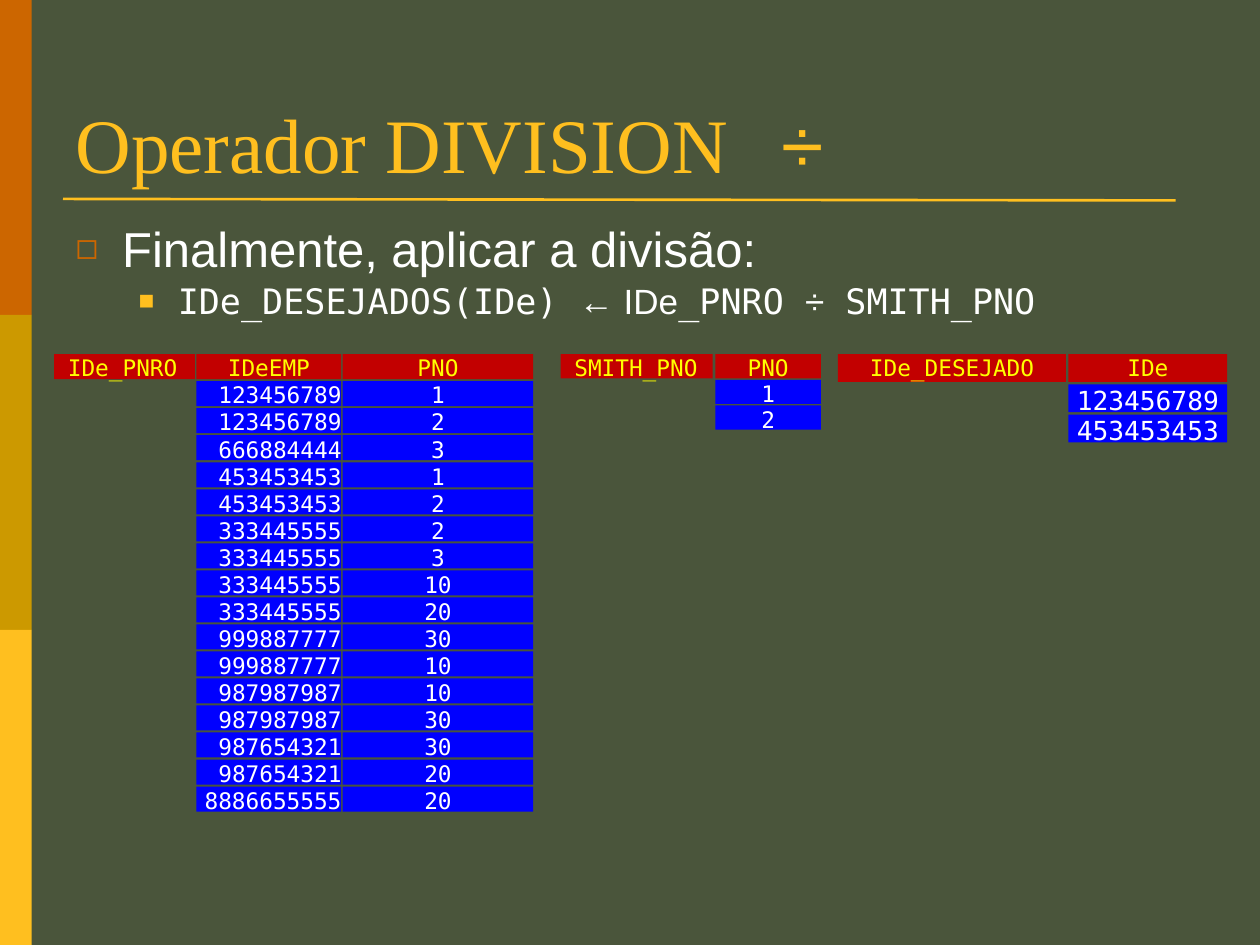
from lxml.etree import SubElement
from pptx import Presentation
from pptx.dml.color import RGBColor
from pptx.enum.shapes import MSO_CONNECTOR as Connector, MSO_SHAPE as Shape
from pptx.enum.text import MSO_ANCHOR as Anchor, MSO_AUTO_SIZE as AutoSize, PP_ALIGN as Align
from pptx.oxml.ns import qn
from pptx.util import Cm, Pt

SERIF, SANS, MONO = "Times New Roman", "Arial", "DejaVu Sans Mono"
OLIVE, ORANGE, MUSTARD, GOLD = "4A553B", "CC6600", "CC9900", "FFBF1F"
RED, BLUE, YELLOW, WHITE = "C20000", "0000FF", "FFFF00", "FFFFFF"
LABEL_INSET = 0.28

EMPLOYEE_PROJECTS = [
    ("123456789", "1"), ("123456789", "2"), ("666884444", "3"), ("453453453", "1"),
    ("453453453", "2"), ("333445555", "2"), ("333445555", "3"), ("333445555", "10"),
    ("333445555", "20"), ("999887777", "30"), ("999887777", "10"), ("987987987", "10"),
    ("987987987", "30"), ("987654321", "30"), ("987654321", "20"), ("8886655555", "20"),
]


def paint(target, color):
    """Give a fill or a line format one solid colour."""
    fill = target if hasattr(target, "solid") else target.fill
    fill.solid()
    fill.fore_color.rgb = RGBColor.from_string(color)


def add_span(para, text, font, size, color):
    span = para.add_run()
    span.text = text
    span.font.name = font
    span.font.size = Pt(size)
    span.font.color.rgb = RGBColor.from_string(color)


def add_block(shapes, left, top, width, height, color):
    block = shapes.add_shape(Shape.RECTANGLE, Cm(left), Cm(top), Cm(width), Cm(height))
    block.shadow.inherit = False
    paint(block.fill, color)
    block.line.fill.background()
    return block


def add_cell(shapes, left, top, width, height, text, color, text_color, size, align):
    cell = add_block(shapes, left, top, width, height, color)
    frame = cell.text_frame
    frame.word_wrap = True
    frame.vertical_anchor = Anchor.TOP
    frame.margin_left = Cm(LABEL_INSET if align == Align.LEFT else 0)
    frame.margin_top = frame.margin_right = frame.margin_bottom = 0
    para = frame.paragraphs[0]
    para.alignment = align
    add_span(para, text, MONO, size, text_color)


def add_relation(page, left, top, height, gaps, name, columns, size=13):
    """Draw a relation: its name, then columns of (width, alignment, header, values)."""
    column_gap, row_gap = gaps
    name_width, name_align, name_text = name
    row_count = 1 + len(columns[0][3])
    pitch = (height + row_gap) / row_count
    row_height = pitch - row_gap
    shapes = page.shapes.add_group_shape().shapes
    add_cell(shapes, left, top, name_width, row_height, name_text, RED, YELLOW, 13, name_align)
    x = left + name_width + column_gap
    for width, align, header, values in columns:
        add_cell(shapes, x, top, width, row_height, header, RED, YELLOW, 13, Align.CENTER)
        for row, value in enumerate(values, start=1):
            add_cell(shapes, x, top + row * pitch, width, row_height,
                     value, BLUE, WHITE, size, align)
        x += width + column_gap


def add_side_band(page, left, top, width, height):
    colors = (ORANGE, MUSTARD, GOLD)
    step = height / len(colors)
    for index, color in enumerate(colors):
        add_block(page.shapes, left, top + index * step, width, step, color)


def add_rule(page, left, top, right, bottom):
    rule = page.shapes.add_connector(Connector.STRAIGHT, Cm(left), Cm(top), Cm(right), Cm(bottom))
    paint(rule.line, GOLD)
    rule.line.width = Pt(1.5)
    SubElement(rule._element.spPr, qn("a:effectLst"))


def place(box, left, top, width, height):
    box.left, box.top, box.width, box.height = Cm(left), Cm(top), Cm(width), Cm(height)
    box.text_frame.word_wrap = True
    box.text_frame.auto_size = AutoSize.NONE
    return box.text_frame


def fill_title(box, *area):
    frame = place(box, *area)
    frame.vertical_anchor = Anchor.BOTTOM
    para = frame.paragraphs[0]
    para.alignment = Align.LEFT
    tabs = SubElement(para._p.get_or_add_pPr(), qn("a:tabLst"))
    SubElement(tabs, qn("a:tab"), pos=str(Cm(14.22)), algn="l")
    add_span(para, "Operador DIVISION\t", SERIF, 44, GOLD)
    add_span(para, "÷", SANS, 44, GOLD)


def set_bullet(para, char, color, indent, hanging):
    props = para._p.get_or_add_pPr()
    props.set("marL", str(Cm(indent)))
    props.set("indent", str(-Cm(hanging)))
    SubElement(SubElement(props, qn("a:buClr")), qn("a:srgbClr"), val=color)
    SubElement(props, qn("a:buSzPct"), val="75000")
    SubElement(props, qn("a:buFont"), typeface=SANS)
    SubElement(props, qn("a:buChar"), char=char)


def fill_body(box, *area):
    frame = place(box, *area)
    frame.vertical_anchor = Anchor.TOP
    first, second = frame.paragraphs[0], frame.add_paragraph()
    second.level = 1
    set_bullet(first, "◻", ORANGE, 0.94, 0.94)
    set_bullet(second, "■", GOLD, 2.06, 0.79)
    for para, space in ((first, 0), (second, 5)):
        para.line_spacing = 0.85
        para.space_before = Pt(space)
    add_span(first, "Finalmente, aplicar a divisão:", SANS, 28, WHITE)
    for text, font in (("IDe_DESEJADOS(IDe) ", MONO), ("← IDe", SANS), ("_PNRO ", MONO),
                       ("÷", SANS), (" SMITH_PNO", MONO)):
        add_span(second, text, font, 20, WHITE)


def build_division_page(deck):
    page = deck.slides.add_slide(deck.slide_layouts[1])
    paint(page.background.fill, OLIVE)
    add_side_band(page, 0, 0, 0.64, 19.05)
    add_rule(page, 1.27, 4.01, 23.7, 4.04)
    fill_title(page.shapes.title, 1.27, 0.76, 22.86, 3.18)
    fill_body(page.placeholders[1], 1.27, 4.45, 22.86, 12.57)

    employees, projects = zip(*EMPLOYEE_PROJECTS)
    top = 7.14
    add_relation(page, 11.3, top, 1.52, (0.05, 0.03), (3.07, Align.LEFT, "SMITH_PNO"),
                 [(2.13, Align.CENTER, "PNO", ("1", "2"))])
    add_relation(page, 1.09, top, 9.22, (0.03, 0.04), (2.84, Align.LEFT, "IDe_PNRO"),
                 [(2.92, Align.RIGHT, "IDeEMP", employees),
                  (3.84, Align.CENTER, "PNO", projects)])
    add_relation(page, 16.89, top, 1.78, (0.05, 0.05), (4.6, Align.CENTER, "IDe_DESEJADO"),
                 [(3.2, Align.CENTER, "IDe", ("123456789", "453453453"))], size=15)


def main():
    deck = Presentation()
    deck.slide_width, deck.slide_height = Cm(25.4), Cm(19.05)
    build_division_page(deck)
    deck.save("out.pptx")


if __name__ == "__main__":
    main()
